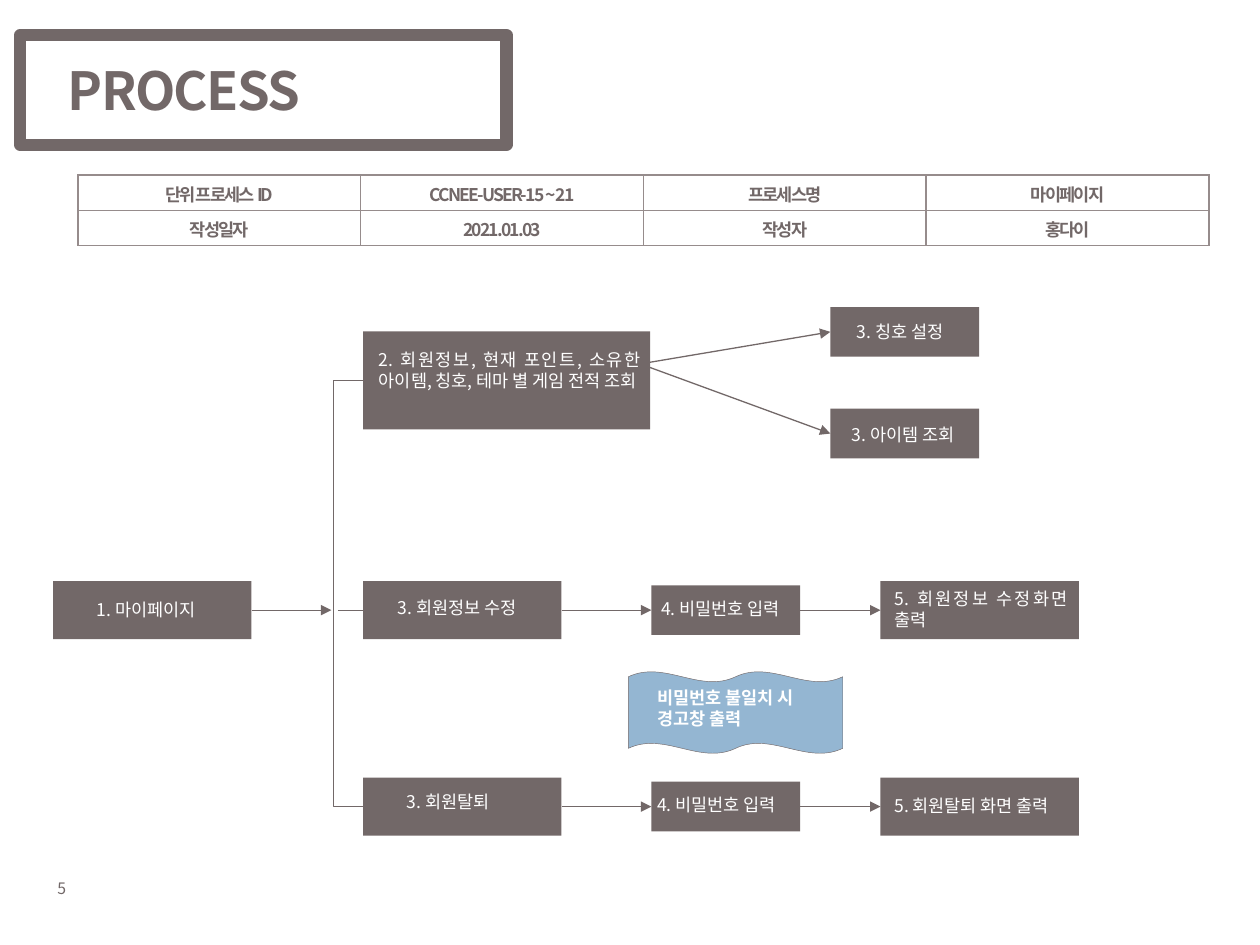
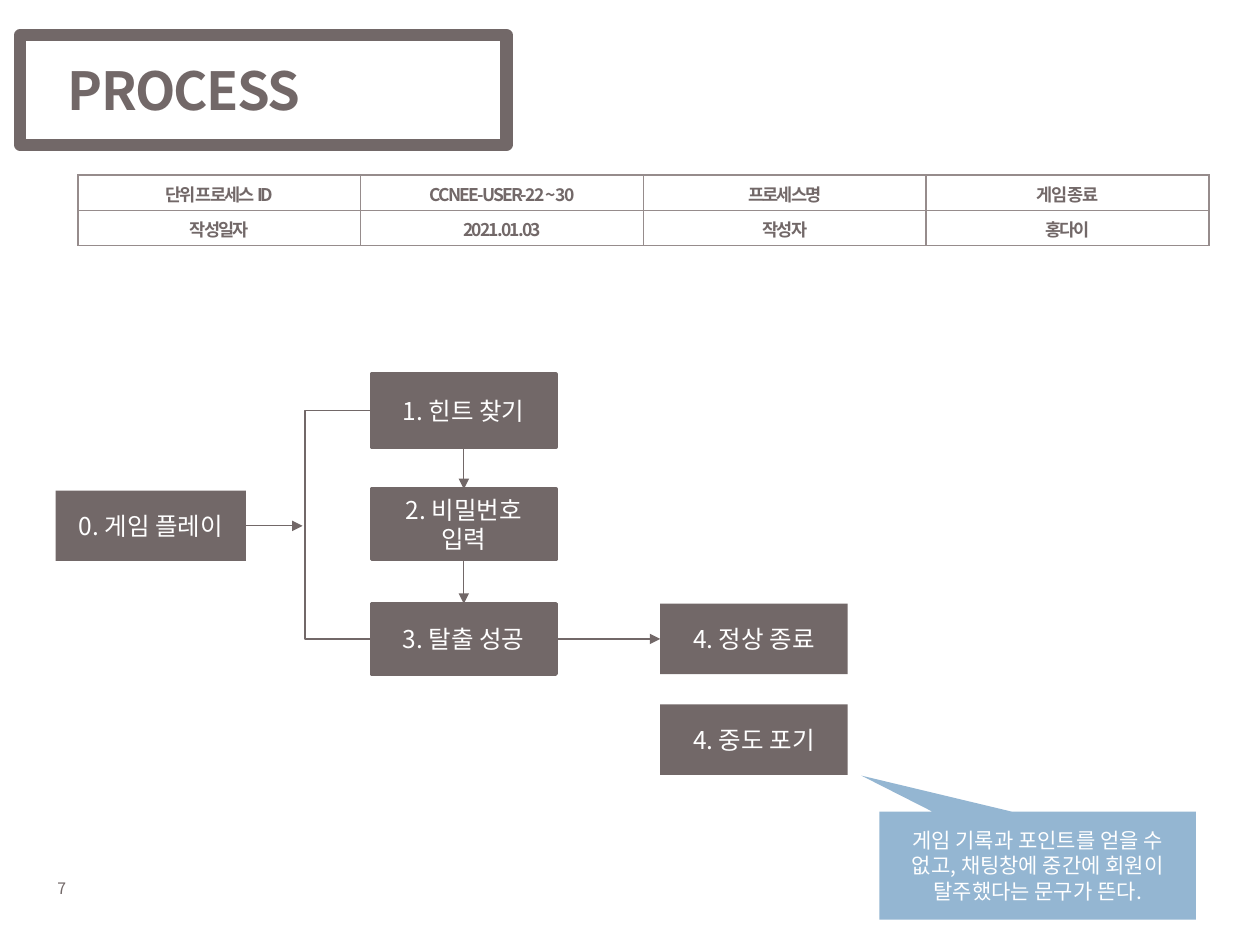
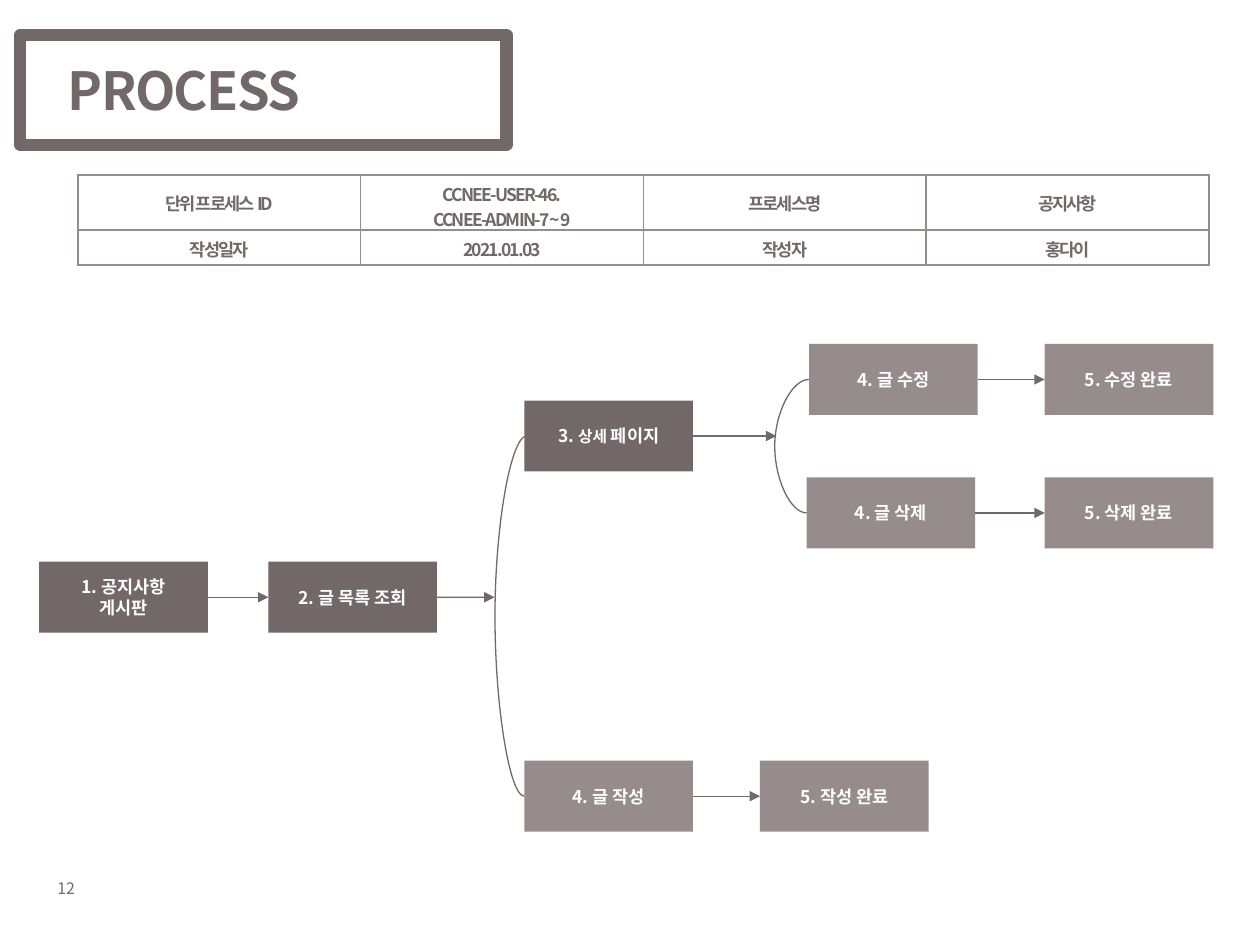
from lxml import etree
from pptx import Presentation
from pptx.dml.color import RGBColor
from pptx.enum.shapes import MSO_CONNECTOR, MSO_SHAPE
from pptx.enum.text import MSO_ANCHOR, MSO_AUTO_SIZE, PP_ALIGN
from pptx.oxml.ns import qn
from pptx.util import Cm, Pt

DARK = RGBColor(0x72, 0x68, 0x68)
LIGHT = RGBColor(0x96, 0x8C, 0x8C)
BLUE = RGBColor(0x94, 0xB6, 0xD2)
WHITE = RGBColor(0xFF, 0xFF, 0xFF)
FONT = "Noto Sans CJK KR"

STRAIGHT, ELBOW, CURVE = MSO_CONNECTOR.STRAIGHT, MSO_CONNECTOR.ELBOW, MSO_CONNECTOR.CURVE
RECT, WAVE, CALLOUT = MSO_SHAPE.RECTANGLE, MSO_SHAPE.DOUBLE_WAVE, MSO_SHAPE.RECTANGULAR_CALLOUT
LEFT, CENTER, JUSTIFY = PP_ALIGN.LEFT, PP_ALIGN.CENTER, PP_ALIGN.JUSTIFY
TOP_ANCHOR, MIDDLE = MSO_ANCHOR.TOP, MSO_ANCHOR.MIDDLE
GROW = MSO_AUTO_SIZE.SHAPE_TO_FIT_TEXT
TOP_SIDE, LEFT_SIDE, BOTTOM_SIDE, RIGHT_SIDE = range(4)


def write(tf, text, size=10, color=WHITE, bold=False, align=LEFT, spacing=0,
          anchor=TOP_ANCHOR, small=None):
    tf.vertical_anchor = anchor
    for i, line in enumerate(text.split("\n")):
        p = tf.paragraphs[0] if i == 0 else tf.add_paragraph()
        p.alignment = align
        before, part, after = line.partition(small) if small else (line, "", "")
        for piece in filter(None, (before, part, after)):
            r = p.add_run()
            r.text = piece
            r.font.size = Pt(size - 1 if piece == small else size)
            r.font.bold = bold
            r.font.color.rgb = color
            r.font.name = FONT
            rPr = r._r.get_or_add_rPr()
            etree.SubElement(rPr, qn("a:ea"), typeface=FONT)
            if spacing:
                rPr.set("spc", str(spacing * 100))


def add_label(s, text, x, y, w, h=0.69, wrap=True, grow=True, **fmt):
    tf = s.shapes.add_textbox(Cm(x), Cm(y), Cm(w), Cm(h)).text_frame
    tf.word_wrap = wrap
    if grow:
        tf.auto_size = GROW
    write(tf, text, **fmt)


def add_box(s, x, y, w, h, fill=DARK, line=0, kind=RECT):
    sp = s.shapes.add_shape(kind, Cm(x), Cm(y), Cm(w), Cm(h))
    sp.shadow.inherit = False
    if fill is None:
        sp.fill.background()
    else:
        sp.fill.solid()
        sp.fill.fore_color.rgb = fill
    if line:
        sp.line.color.rgb = DARK
        sp.line.width = Pt(line)
    else:
        sp.line.fill.background()
    return sp


def add_node(s, x, middle, w, h, text=None, fill=DARK, line=0, **fmt):
    sp = add_box(s, x, middle - h / 2, w, h, fill, line)
    if text:
        write(sp.text_frame, text, align=CENTER, anchor=MIDDLE, **fmt)
    return sp


def style_connector(c):
    c.line.color.rgb = DARK
    c.line.width = Pt(0.75)
    etree.SubElement(c.element.spPr, qn("a:effectLst"))


def add_line(s, start, end, sides=(RIGHT_SIDE, LEFT_SIDE), arrow=True):
    points = [(Cm(e[0]), Cm(e[1])) if isinstance(e, tuple) else (0, 0) for e in (start, end)]
    c = s.shapes.add_connector(STRAIGHT, *points[0], *points[1])
    if not isinstance(start, tuple):
        c.begin_connect(start, sides[0])
    if not isinstance(end, tuple):
        c.end_connect(end, sides[1])
    style_connector(c)
    if arrow:
        etree.SubElement(c.element.spPr.find(qn("a:ln")), qn("a:tailEnd"), type="triangle")


def add_bracket(s, kind, x, top, bottom, bend):
    width = 0.05
    c = s.shapes.add_connector(kind, Cm(x + width), Cm(top), Cm(x), Cm(bottom))
    style_connector(c)
    geom = c.element.spPr.find(qn("a:prstGeom"))
    av = geom.find(qn("a:avLst"))
    if av is None:
        av = etree.SubElement(geom, qn("a:avLst"))
    ratio = round((x + width - bend) / width * 100000)
    etree.SubElement(av, qn("a:gd"), name="adj1", fmla=f"val {ratio}")


def add_border(cell):
    tcPr = cell._tc.get_or_add_tcPr()
    for side in ("lnL", "lnR", "lnT", "lnB"):
        ln = etree.SubElement(tcPr, qn(f"a:{side}"), w=str(Pt(1)))
        fill = etree.SubElement(ln, qn("a:solidFill"))
        etree.SubElement(fill, qn("a:srgbClr"), val=str(LIGHT))


def add_info_table(s, process_id, name):
    rows = [("단위 프로세스 ID", process_id, "프로세스명", name),
            ("작성일자", "2021.01.03", "작성자", "홍다이")]
    table = s.shapes.add_table(2, 4, Cm(1.57), Cm(3.53), Cm(22.8), Cm(1.42)).table
    table.first_row = table.horz_banding = False
    for i, row in enumerate(rows):
        for j, text in enumerate(row):
            cell = table.cell(i, j)
            add_border(cell)
            cell.fill.background()
            cell.vertical_anchor = MIDDLE
            write(cell.text_frame, text, color=DARK, bold=True, align=CENTER,
                  spacing=-1, anchor=MIDDLE)


def add_process_slide(prs, number, process_id, name):
    s = prs.slides.add_slide(prs.slide_layouts[6])
    add_label(s, str(number), 0.91, 17.6, 1.32, 0.64, wrap=False, size=9, color=DARK)
    add_label(s, "PROCESS", 1.12, 0.2, 18.21, 3.2, grow=False, size=30, color=DARK,
              bold=True, spacing=-1, anchor=MIDDLE)
    add_box(s, 0.41, 0.71, 9.8, 2.21, fill=None, line=7)
    add_info_table(s, process_id, name)
    return s


def build_my_page(prs):
    s = add_process_slide(prs, 5, "CCNEE-USER-15 ~ 21", "마이페이지")
    edit_y, leave_y = 12.3, 16.26
    large, small = (4, 1.17), (3, 1)
    page = add_node(s, 1.07, edit_y, *large)
    add_node(s, 7.32, 7.67, 5.79, 1.98)
    add_bracket(s, ELBOW, 7.32, 7.67, leave_y, 6.73)
    add_line(s, page, (6.68, edit_y))
    for middle in (edit_y, leave_y):
        action = add_node(s, 7.32, middle, *large)
        password = add_node(s, 13.13, middle, *small)
        result = add_node(s, 17.75, middle, *large)
        add_line(s, action, password)
        add_line(s, password, result)
        if middle == edit_y:
            add_line(s, (6.81, edit_y), action, arrow=False)
    for start_y, middle in ((7.32, 6.69), (7.37, 8.74)):
        add_line(s, (13, start_y), add_node(s, 16.74, middle, *small))
    add_box(s, 12.67, 13.54, 4.32, 1.65, BLUE, 0.25, WAVE)
    add_label(s, "비밀번호 불일치 시\n경고창 출력", 13, 13.72, 4.9, 1.12, bold=True)
    labels = [
        ("2. 회원정보, 현재 포인트, 소유한 아이템, 칭호, 테마 별 게임 전적 조회", 7.39, 6.91, 5.77, 1.55),
        ("1. 마이페이지", 1.7, 11.96, 3.38),
        ("3. 회원정보 수정", 7.77, 11.91, 3.43),
        ("3. 회원탈퇴", 7.95, 15.82, 3.12),
        ("4. 비밀번호 입력", 13.08, 11.94, 3.12),
        ("4. 비밀번호 입력", 13, 15.88, 3.12),
        ("5. 회원정보 수정화면 출력", 17.78, 11.73, 3.99, 1.12),
        ("5. 회원탈퇴 화면 출력", 17.78, 15.9, 7.14),
        ("3. 칭호 설정", 17.02, 6.35, 6.68),
        ("3. 아이템 조회", 16.92, 8.43, 6.68),
    ]
    for label in labels:
        add_label(s, *label, align=JUSTIFY)


def build_game_end(prs):
    s = add_process_slide(prs, 7, "CCNEE-USER-22 ~ 30", "게임 종료")
    play = add_node(s, 1.12, 10.6, 3.84, 1.42, "0. 게임 플레이", size=14)
    hint, password, escape = [
        add_node(s, 7.49, middle, 3.72, h, text, line=2, size=14)
        for text, middle, h in (("1. 힌트 찾기", 8.28, 1.47),
                                ("2. 비밀번호 입력", 10.57, 1.42),
                                ("3. 탈출 성공", 12.88, 1.42))]
    finish = add_node(s, 13.31, 12.88, 3.78, 1.42, "4. 정상 종료", size=14)
    add_node(s, 13.31, 14.91, 3.78, 1.42, "4. 중도 포기", size=14)
    callout = add_box(s, 17.73, 16.36, 6.38, 2.18, BLUE, kind=CALLOUT)
    callout.adjustments[0] = -0.557
    callout.adjustments[1] = -0.832
    write(callout.text_frame, "게임 기록과 포인트를 얻을 수 없고, 채팅창에 중간에 회원이 탈주했다는 문구가 뜬다.",
          size=12, align=CENTER, anchor=MIDDLE)
    add_line(s, play, (6.1, 10.6))
    add_line(s, hint, password, (BOTTOM_SIDE, TOP_SIDE))
    add_line(s, password, escape, (BOTTOM_SIDE, TOP_SIDE))
    add_line(s, escape, finish)
    add_bracket(s, ELBOW, 7.49, 8.28, 12.88, 6.15)


def build_notice(prs):
    s = add_process_slide(prs, 12, "CCNEE-USER-46.\nCCNEE-ADMIN-7 ~ 9", "공지사항")

    def step(text, x, middle, fill=LIGHT, **fmt):
        return add_node(s, x, middle, 3.4, 1.43, text, fill, bold=True, **fmt)

    board = step("1. 공지사항\n게시판", 0.79, 12.04, DARK)
    posts = step("2. 글 목록 조회", 5.41, 12.04, DARK)
    detail = step("3. 상세 페이지", 10.57, 8.79, DARK, small="상세")
    add_line(s, board, posts)
    add_line(s, posts, (9.97, 12.04))
    add_line(s, detail, (15.65, 8.79))
    for action, x, done_x, middle in (("수정", 16.31, 21.06, 7.65),
                                      ("삭제", 16.26, 21.06, 10.34),
                                      ("작성", 10.57, 15.32, 16.05)):
        add_line(s, step(f"4. 글 {action}", x, middle),
                 step(f"5. {action} 완료", done_x, middle))
    add_bracket(s, CURVE, 10.57, 8.79, 16.05, 9.98)
    add_bracket(s, CURVE, 16.26, 7.65, 10.34, 15.62)


def main():
    prs = Presentation()
    prs.slide_width, prs.slide_height = Cm(25.4), Cm(19.05)
    build_my_page(prs)
    build_game_end(prs)
    build_notice(prs)
    prs.save("out.pptx")


if __name__ == "__main__":
    main()
